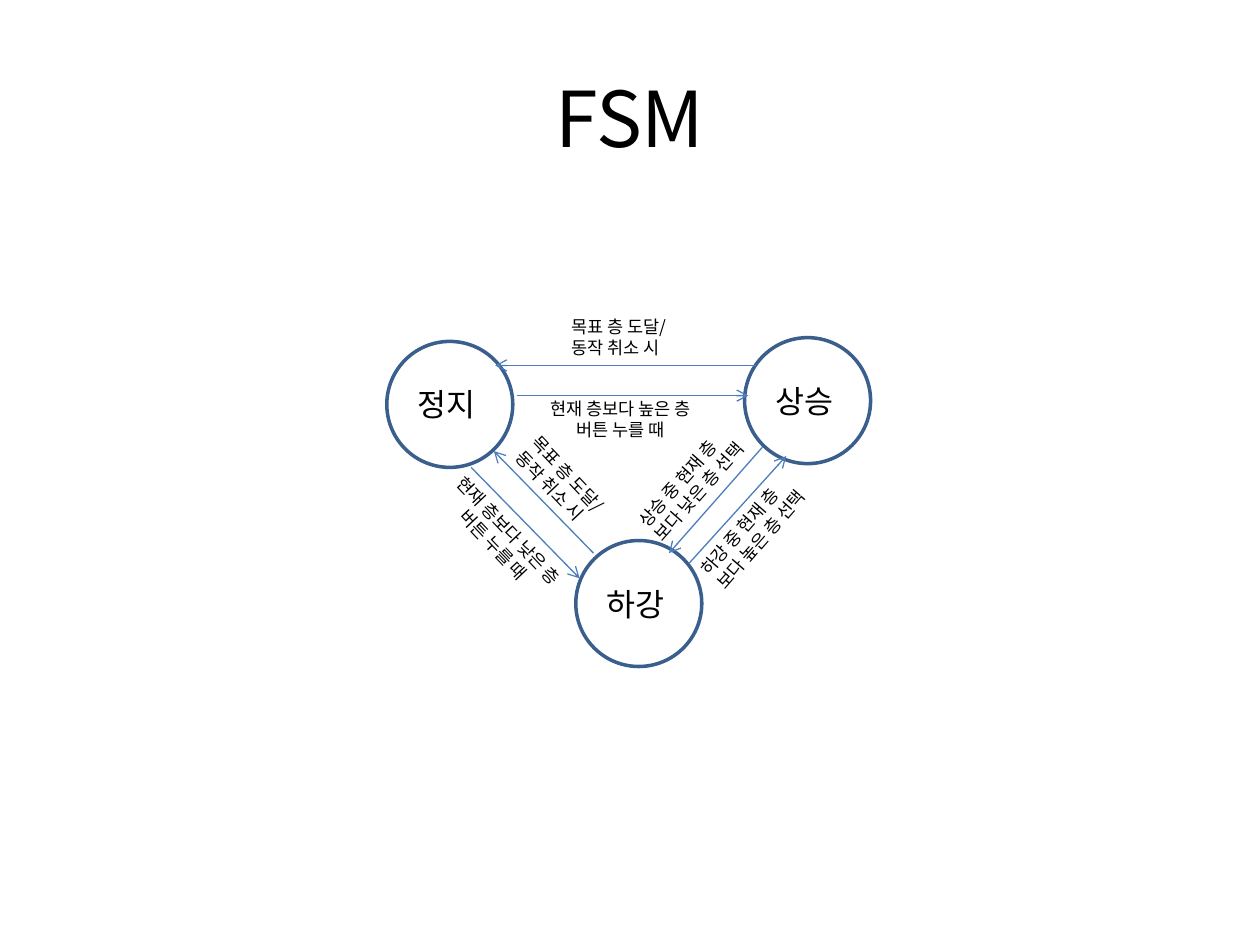
from lxml.etree import SubElement
from pptx import Presentation
from pptx.dml.color import RGBColor
from pptx.enum.shapes import MSO_CONNECTOR, MSO_SHAPE
from pptx.enum.text import MSO_ANCHOR, PP_ALIGN
from pptx.oxml.ns import qn
from pptx.util import Inches, Pt

COLORS = {"text": "000000", "state": "3A5F8C", "transition": "4B7EBC"}
FONT = "Noto Sans CJK KR"
COLUMNS, ROWS = 100, 75


class StateDiagram:
    def __init__(self, deck):
        self.slide = deck.slides.add_slide(deck.slide_layouts[6])
        self.column = deck.slide_width / COLUMNS
        self.row = deck.slide_height / ROWS

    def place(self, x, y):
        return round(x * self.column), round(y * self.row)

    def color(self, name):
        return RGBColor.from_string(COLORS[name])

    def text(self, shapes, box, lines, size, align=PP_ALIGN.LEFT,
             anchor=MSO_ANCHOR.TOP, wrap=False, rotation=0):
        left, top, width, height = box
        label = shapes.add_textbox(*self.place(left, top), *self.place(width, height))
        label.rotation = rotation
        frame = label.text_frame
        frame.text = lines
        frame.word_wrap = wrap
        frame.vertical_anchor = anchor
        for paragraph in frame.paragraphs:
            paragraph.alignment = align
            for run in paragraph.runs:
                run.font.size = Pt(size)
                run.font.name = FONT
                run.font.color.rgb = self.color("text")
                SubElement(run.font._element, qn("a:ea"), typeface=FONT)

    def title(self, words):
        self.text(self.slide.shapes, (5, 3, 90, 12.5), words, 44,
                  PP_ALIGN.CENTER, MSO_ANCHOR.MIDDLE, True)

    def state(self, name, left, top):
        group = self.slide.shapes.add_group_shape()
        circle = group.shapes.add_shape(
            MSO_SHAPE.OVAL, *self.place(left, top), *self.place(10, 10))
        circle.shadow.inherit = False
        circle.fill.background()
        circle.line.color.rgb = self.color("state")
        circle.line.width = Pt(2)
        self.text(group.shapes, (left + 1.45, top + 3, 7.1, 4), name, 18)

    def transition(self, start, end):
        arrow = self.slide.shapes.add_connector(
            MSO_CONNECTOR.STRAIGHT, *self.place(*start), *self.place(*end))
        arrow.line.color.rgb = self.color("transition")
        arrow.line.width = Pt(0.75)
        SubElement(arrow.line._get_or_add_ln(), qn("a:tailEnd"), type="arrow")
        SubElement(arrow._element.spPr, qn("a:effectLst"))

    def condition(self, lines, left, top, width, rotation=0, align=PP_ALIGN.LEFT):
        self.text(self.slide.shapes, (left, top, width, 4.4), lines, 10,
                  align, rotation=rotation)


def main():
    deck = Presentation()
    deck.slide_width, deck.slide_height = Inches(10), Inches(7.5)
    diagram = StateDiagram(deck)
    diagram.title("FSM")

    for name, left, top in (("정지", 30.7, 27.1), ("상승", 59.1, 26.8), ("하강", 45.7, 42.9)):
        diagram.state(name, left, top)

    for start, end in (
        ((37.4, 37.1), (46, 45.9)),
        ((47.1, 43.9), (39.2, 35.8)),
        ((60.5, 35.5), (53.1, 43.9)),
        ((54.7, 44.7), (62.4, 36.2)),
        ((41, 31.4), (59.4, 31.4)),
        ((60, 29), (39.3, 29)),
    ):
        diagram.transition(start, end)

    arrived = "목표 층 도달/\n동작 취소 시"
    diagram.condition(arrived, 39.5, 36.4, 10.6, 46.7)
    diagram.condition(arrived, 44.4, 24.6, 10.6)
    diagram.condition("하강 중 현재 층\n보다 높은 층 선택", 53.6, 39.5, 13.3, 311)
    diagram.condition("상승 중 현재 층\n보다 낮은 층 선택", 48.7, 35.7, 13.3, 311.5)
    diagram.condition("현재 층보다 낮은 층\n버튼 누를 때", 32.4, 40.5, 14.7, 46.7, PP_ALIGN.CENTER)
    diagram.condition("현재 층보다 높은 층\n버튼 누를 때", 41.9, 31.1, 14.7, 0, PP_ALIGN.CENTER)

    deck.save("out.pptx")


if __name__ == "__main__":
    main()
